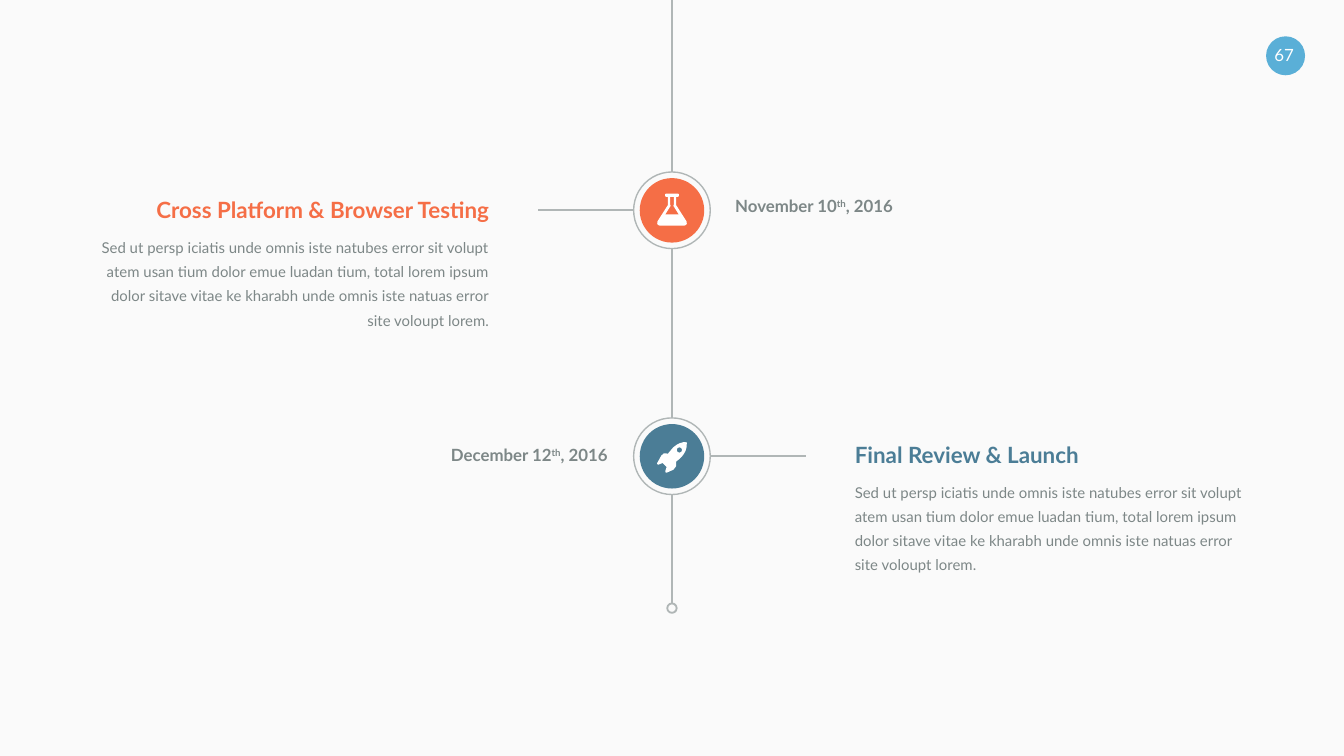
from pptx import Presentation
from pptx.dml.color import RGBColor
from pptx.enum.shapes import MSO_CONNECTOR, MSO_SHAPE
from pptx.enum.text import PP_ALIGN
from pptx.oxml.ns import qn
from pptx.util import Inches, Pt
from lxml import etree

OVAL = MSO_SHAPE.OVAL
STRAIGHT = MSO_CONNECTOR.STRAIGHT
LEFT, CENTER, RIGHT = PP_ALIGN.LEFT, PP_ALIGN.CENTER, PP_ALIGN.RIGHT

COLORS = {
    "background": "FAFAFA",
    "white": "FFFFFF",
    "badge": "5AAFD7",
    "line": "B0B6B6",
    "text": "7D8787",
    "orange": "F56E46",
    "blue": "4B7D96",
}
AXIS = 5
RING, DISC, END_DOT, BADGE = 0.57, 0.48, 0.07, 0.29
TEXT_WIDTH, DATE_WIDTH = 2.89, 1.62
DESCRIPTION = (
    "Sed ut persp iciatis unde omnis iste natubes error sit volupt atem usan "
    "tium dolor emue luadan tium, total lorem ipsum dolor sitave vitae ke "
    "kharabh unde omnis iste natuas error site voloupt lorem."
)


def mirrored(half):
    return half + [(-x, y) for x, y in reversed(half)]


FLASK = [
    mirrored([(45, -125), (52, -118), (52, -108), (44, -100), (30, -100), (30, -40),
              (108, 82), (110, 98), (105, 108), (92, 114)]),
    mirrored([(14, -100), (14, -44), (10, -34), (50, 30)]),
]
ROCKET = [
    [(110, -104), (85, -105), (60, -98), (35, -86), (10, -67), (-12, -42), (-30, -20),
     (-60, -22), (-80, -5), (-110, 50), (-110, 59), (-100, 62), (-70, 50), (-40, 80),
     (-50, 110), (-48, 120), (-40, 122), (10, 100), (30, 75), (30, 40), (58, 18),
     (82, -8), (100, -38), (109, -70)],
    [(55, -67), (41, -61), (35, -47), (41, -33), (55, -27), (69, -33), (75, -47), (69, -61)],
]


class TimelineSlide:
    """Draws styled timeline elements on one slide."""

    def __init__(self, page, font="Lato"):
        self.page = page
        self.font = font
        self.paint(page.background.fill, "background")

    def paint(self, fill, color):
        fill.solid()
        fill.fore_color.rgb = RGBColor.from_string(COLORS[color])

    def circle(self, x, y, size, fill=None, line_width=None):
        corner = Inches(x - size / 2), Inches(y - size / 2)
        shape = self.page.shapes.add_shape(OVAL, *corner, Inches(size), Inches(size))
        shape.shadow.inherit = False
        if fill:
            self.paint(shape.fill, fill)
        else:
            shape.fill.background()
        if line_width:
            self.paint(shape.line.fill, "line")
            shape.line.width = Pt(line_width)
        else:
            shape.line.fill.background()

    def line(self, x1, y1, x2, y2):
        ends = [Inches(value) for value in (x1, y1, x2, y2)]
        connector = self.page.shapes.add_connector(STRAIGHT, *ends)
        self.paint(connector.line.fill, "line")
        connector.line.width = Pt(1)
        etree.SubElement(connector._element.spPr, qn("a:effectLst"))

    def icon(self, outlines, y):
        first, *others = outlines
        builder = self.page.shapes.build_freeform(*first[0], scale=Inches(1) / 1000)
        builder.add_line_segments(first[1:], close=True)
        for outline in others:
            builder.move_to(*outline[0])
            builder.add_line_segments(outline[1:], close=True)
        shape = builder.convert_to_shape(Inches(AXIS), Inches(y))
        shape.shadow.inherit = False
        self.paint(shape.fill, "white")
        shape.line.fill.background()

    def text(self, x, y, width, height, parts, size, color, align=LEFT, bold=False, spacing=None):
        box = self.page.shapes.add_textbox(Inches(x), Inches(y), Inches(width), Inches(height))
        frame = box.text_frame
        frame.word_wrap = True
        frame.margin_left = frame.margin_right = frame.margin_top = frame.margin_bottom = 0
        para = frame.paragraphs[0]
        para.alignment = align
        if spacing:
            para.line_spacing = spacing
        para.font.name = self.font
        para.font.size = Pt(size)
        para.font.bold = bold
        para.font.color.rgb = RGBColor.from_string(COLORS[color])
        for index, part in enumerate(parts):
            span = para.add_run()
            span.text = part
            if index == 1:
                span._r.get_or_add_rPr().set("baseline", "30000")

    def milestone(self, y, color, icon, title, date, text_at, date_at, side):
        text_align, date_align = (RIGHT, LEFT) if side < 0 else (LEFT, RIGHT)
        text_x, text_y = text_at
        self.line(AXIS + side * RING / 2, y, AXIS + side, y)
        self.circle(AXIS, y, RING, line_width=0.75)
        self.circle(AXIS, y, DISC, fill=color)
        self.icon(icon, y)
        self.text(*date_at, DATE_WIDTH, 0.15, date, 9, "text", date_align, bold=True)
        self.text(text_x, text_y, TEXT_WIDTH, 0.2, [title], 12, color, text_align, bold=True)
        self.text(text_x, text_y + 0.27, TEXT_WIDTH, 0.71, [DESCRIPTION], 8, "text", text_align,
                  spacing=1.35)


def main():
    deck = Presentation()
    deck.slide_width = Inches(10)
    deck.slide_height = deck.slide_width * 9 // 16
    slide = TimelineSlide(deck.slides.add_slide(deck.slide_layouts[6]))

    slide.circle(9.42 + BADGE / 2, 0.27 + BADGE / 2, BADGE, fill="badge")
    slide.text(9.43, 0.33, 0.25, 0.15, ["67"], 9, "white", CENTER)

    testing_y, launch_y = 1.28 + RING / 2, 3.11 + RING / 2
    end_y = 4.49 + END_DOT / 2
    stops = [(0, 0), (testing_y, RING), (launch_y, RING), (end_y, END_DOT)]
    for (upper, upper_size), (lower, lower_size) in zip(stops, stops[1:]):
        slide.line(AXIS, upper + upper_size / 2, AXIS, lower - lower_size / 2)
    slide.circle(AXIS, end_y, END_DOT, line_width=1)

    slide.milestone(testing_y, "orange", FLASK, "Cross Platform & Browser Testing",
                    ["November 10", "th", ", 2016"], (0.75, 1.46), (5.47, 1.46), -1)
    slide.milestone(launch_y, "blue", ROCKET, "Final Review & Launch",
                    ["December 12", "th", ", 2016"], (6.36, 3.28), (2.9, 3.31), 1)
    deck.save("out.pptx")


if __name__ == "__main__":
    main()
